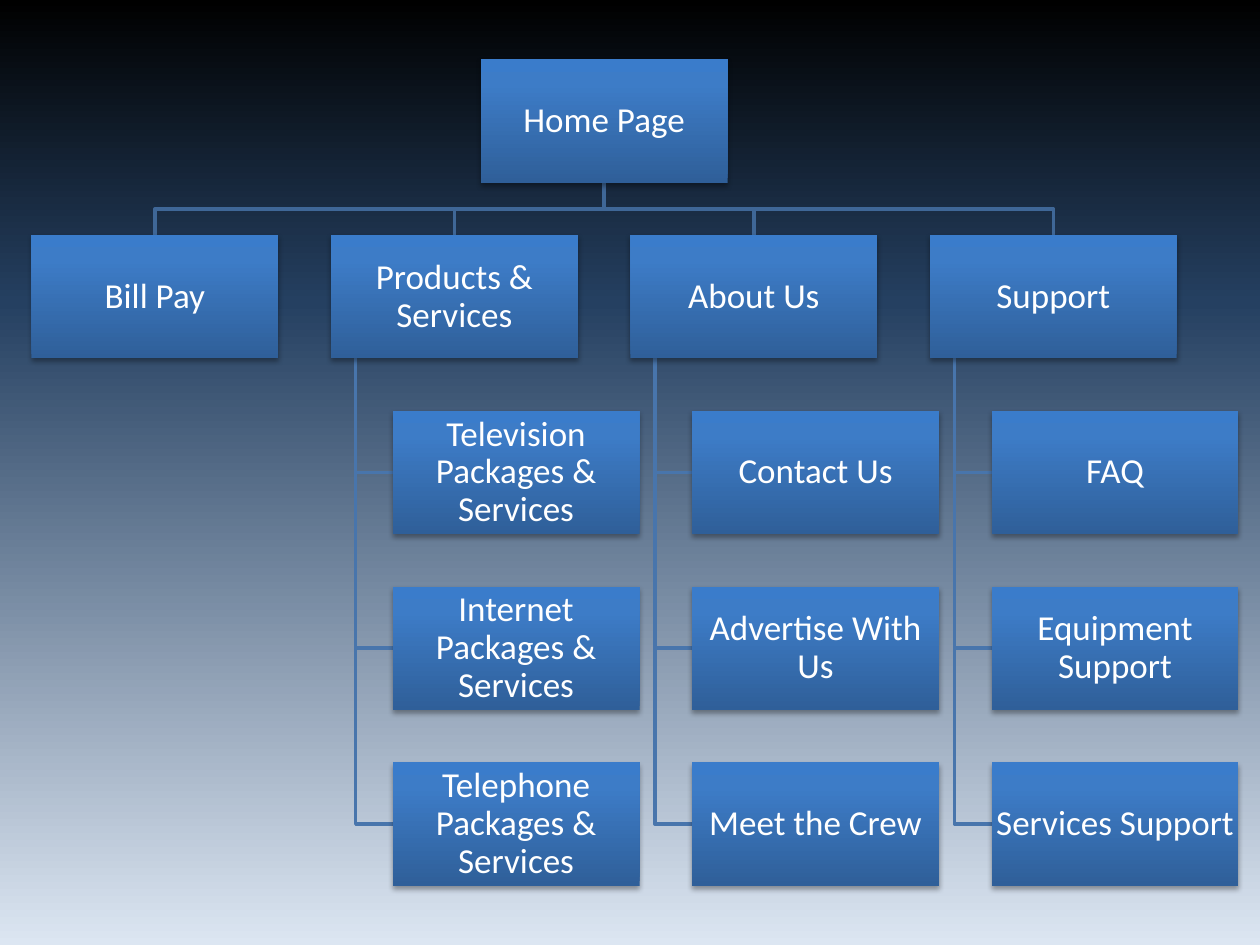
from dataclasses import dataclass

from lxml.etree import SubElement
from pptx import Presentation
from pptx.dml.color import RGBColor
from pptx.enum.shapes import MSO_SHAPE as Preset
from pptx.enum.text import MSO_ANCHOR as Anchor, PP_ALIGN as Align
from pptx.oxml.ns import qn
from pptx.util import Inches, Pt

BLACK = RGBColor(0x00, 0x00, 0x00)
NAVY = RGBColor(0x25, 0x40, 0x61)
PALE = RGBColor(0xDC, 0xE6, 0xF2)
BOX_DARK = RGBColor(0x2F, 0x5F, 0x99)
BOX_MID = RGBColor(0x3D, 0x7C, 0xC7)
BOX_LIGHT = RGBColor(0x3A, 0x7C, 0xCB)
SECTION_LINE = RGBColor(0x3F, 0x67, 0x97)
PAGE_LINE = RGBColor(0x48, 0x75, 0xAC)
WHITE = RGBColor(0xFF, 0xFF, 0xFF)

BACKGROUND_STOPS = [(0, BLACK), (32, NAVY), (100, PALE)]
BOX_STOPS = [(0, BOX_DARK), (80, BOX_MID), (100, BOX_LIGHT)]

LEFT, TOP = 0.25, 0.47
BOX_WIDTH, BOX_HEIGHT = 1.96, 0.98
COLUMN_STEP = (7.38 - LEFT) / 3
ROW_STEP = (6.05 - TOP) / 4
PAGE_INDENT = BOX_WIDTH / 4
STEM_INDENT = BOX_WIDTH / 10


@dataclass
class Section:
    name: str
    pages: tuple[str, ...] = ()


@dataclass
class Node:
    text: str
    left: float
    row: int

    @property
    def top(self) -> float:
        return TOP + self.row * ROW_STEP

    @property
    def bottom(self) -> float:
        return self.top + BOX_HEIGHT

    @property
    def center(self) -> float:
        return self.left + BOX_WIDTH / 2

    @property
    def middle(self) -> float:
        return self.top + BOX_HEIGHT / 2


SECTIONS = [
    Section("Bill Pay"),
    Section("Products & Services", (
        "Television Packages & Services",
        "Internet Packages & Services",
        "Telephone Packages & Services",
    )),
    Section("About Us", ("Contact Us", "Advertise With Us", "Meet the Crew")),
    Section("Support", ("FAQ", "Equipment Support", "Services Support")),
]


def set_gradient(fill, parent, stops: list, angle: int) -> None:
    fill.solid()
    solid = parent.find(qn("a:solidFill"))
    gradient = SubElement(parent, qn("a:gradFill"), rotWithShape="1")
    parent.replace(solid, gradient)
    stop_list = SubElement(gradient, qn("a:gsLst"))
    for position, color in stops:
        stop = SubElement(stop_list, qn("a:gs"), pos=str(position * 1000))
        SubElement(stop, qn("a:srgbClr"), val=str(color))
    SubElement(gradient, qn("a:lin"), ang=str(angle * 60000), scaled="0")


def add_shadow(box) -> None:
    box.shadow.inherit = False
    effects = box.element.spPr.find(qn("a:effectLst"))
    shadow = SubElement(effects, qn("a:outerShdw"), blurRad=str(Pt(3.1)),
                        dist=str(Pt(1.8)), dir="5400000", rotWithShape="0")
    color = SubElement(shadow, qn("a:srgbClr"), val=str(BLACK))
    SubElement(color, qn("a:alpha"), val="35000")


def set_values(target, values: dict) -> None:
    for name, value in values.items():
        setattr(target, name, value)


def draw_link(page, points: list, color: RGBColor) -> None:
    start, *others = [(Inches(x), Inches(y)) for x, y in points]
    builder = page.shapes.build_freeform(*start)
    builder.add_line_segments(others, close=False)
    link = builder.convert_to_shape()
    link.fill.background()
    link.shadow.inherit = False
    link.line.color.rgb = color
    link.line.width = Pt(2)


def draw_node(page, node: Node) -> None:
    box = page.shapes.add_shape(
        Preset.RECTANGLE, Inches(node.left), Inches(node.top),
        Inches(BOX_WIDTH), Inches(BOX_HEIGHT))
    set_gradient(box.fill, box.element.spPr, BOX_STOPS, 270)
    box.line.fill.background()
    add_shadow(box)
    inset = Inches(0.01)
    set_values(box.text_frame, {
        "word_wrap": True, "vertical_anchor": Anchor.MIDDLE,
        "margin_left": inset, "margin_right": inset,
        "margin_top": inset, "margin_bottom": inset,
    })
    para = box.text_frame.paragraphs[0]
    set_values(para, {"alignment": Align.CENTER, "line_spacing": 0.9})
    span = para.add_run()
    span.text = node.text
    set_values(span.font, {"name": "Calibri", "size": Pt(20)})
    span.font.color.rgb = WHITE


def link_section(page, home: Node, section: Node) -> None:
    bend = (home.bottom + section.top) / 2
    draw_link(page, [(home.center, home.bottom), (home.center, bend),
                     (section.center, bend), (section.center, section.top)],
              SECTION_LINE)


def link_page(page, section: Node, child: Node) -> None:
    stem = section.left + STEM_INDENT
    draw_link(page, [(stem, section.bottom), (stem, child.middle),
                     (child.left, child.middle)], PAGE_LINE)


deck = Presentation()
deck.slide_width, deck.slide_height = Inches(10), Inches(7.5)
page = deck.slides.add_slide(deck.slide_layouts[6])
background = page.background.fill
background.solid()
set_gradient(background, page.element.find(".//" + qn("p:bgPr")),
             BACKGROUND_STOPS, 90)

home = Node("Home Page", LEFT + 1.5 * COLUMN_STEP, 0)
nodes = [home]
for column, section in enumerate(SECTIONS):
    head = Node(section.name, LEFT + column * COLUMN_STEP, 1)
    children = [Node(name, head.left + PAGE_INDENT, row)
                for row, name in enumerate(section.pages, start=2)]
    link_section(page, home, head)
    for child in children:
        link_page(page, head, child)
    nodes += [head, *children]

for node in nodes:
    draw_node(page, node)

deck.save("out.pptx")
